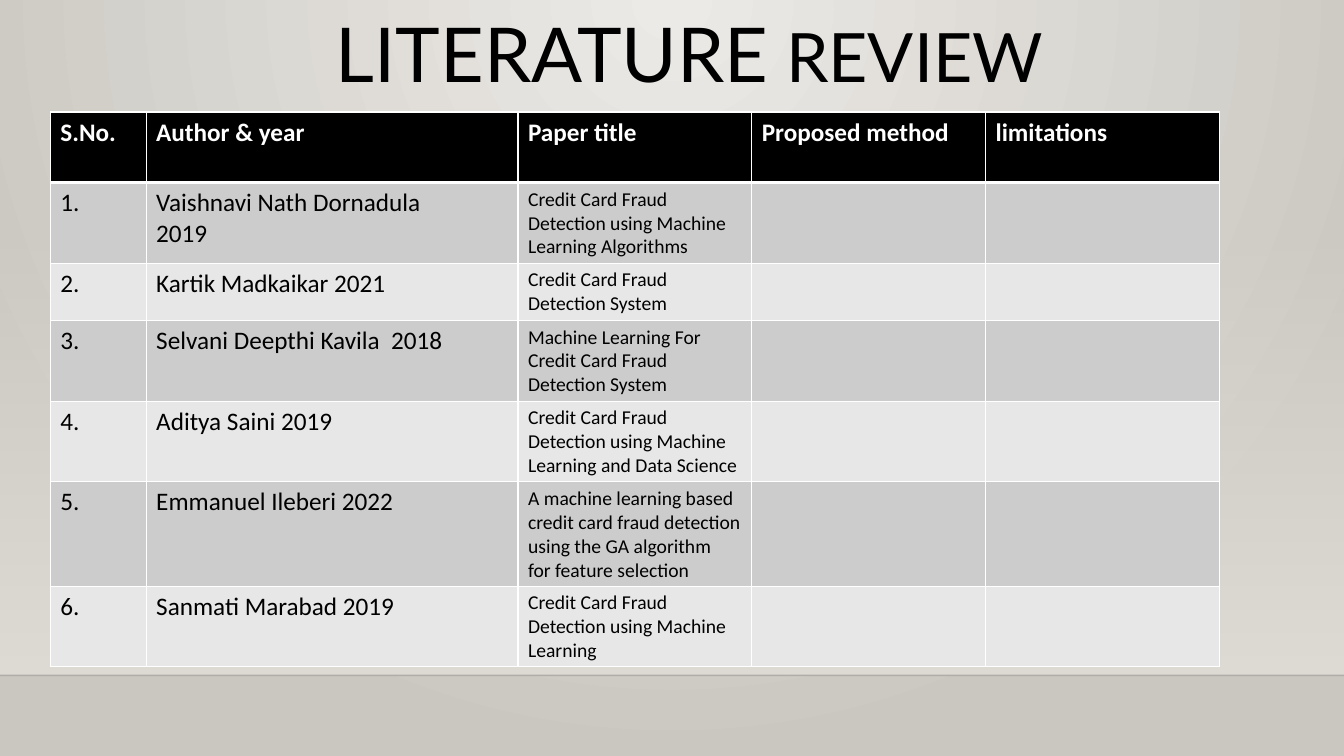
import pptx
import pptx.dml.color
import pptx.enum.shapes
import pptx.enum.text
import pptx.oxml.ns
import pptx.oxml.xmlchemy
import pptx.util
import lxml.etree

Pt = pptx.util.Pt
qn = pptx.oxml.ns.qn

HEADINGS = ["S.No.", "Author & year", "Paper title", "Proposed method", "limitations"]
PAPERS = [
    ("Vaishnavi Nath Dornadula\v2019",
     "Credit Card Fraud Detection using Machine Learning Algorithms"),
    ("Kartik Madkaikar 2021", "Credit Card Fraud Detection System"),
    ("Selvani Deepthi Kavila  2018",
     "Machine Learning For Credit Card Fraud Detection System"),
    ("Aditya Saini 2019",
     "Credit Card Fraud Detection using Machine Learning and Data Science"),
    ("Emmanuel Ileberi 2022",
     "A machine learning based credit card fraud detection using the\u00a0GA algorithm "
     "for\u00a0feature selection"),
    ("Sanmati Marabad 2019", "Credit Card Fraud Detection using Machine Learning"),
]
COLUMN_WIDTHS = [68.4, 265.6, 167, 167, 167]
ROW_HEIGHTS = [50.4, 57.6, 40.4, 57.6, 57.6, 74.4, 57.6]
PAGE_WIDTH, PAGE_HEIGHT = 960, 540
FLOOR_TOP = 482.4


def color(hex_code):
    return pptx.dml.color.RGBColor.from_string(hex_code)


def add_child(parent, tag, **attributes):
    return lxml.etree.SubElement(parent, qn(tag), attributes)


def set_alpha(color_element, percent):
    add_child(color_element, "a:alpha", val=str(percent * 1000))


def style_span(span, font, size, hex_code, bold=False):
    span.font.name = font
    span.font.size = Pt(size)
    span.font.bold = bold
    span.font.color.rgb = color(hex_code)


def set_gradient(fill, first, last):
    fill.gradient()
    for stop, hex_code in zip(fill.gradient_stops, (first, last)):
        stop.color.rgb = color(hex_code)


def paint_background(page):
    set_gradient(page.background.fill, "ECEAE7", "CAC7C1")
    linear = next(page._element.iter(qn("a:lin")))
    gradient = linear.getparent()
    gradient.remove(linear)
    circle = add_child(gradient, "a:path", path="circle")
    add_child(circle, "a:fillToRect", l="43000", t="0", r="43000", b="100000")


def add_wall(page, top, height):
    wall = page.shapes.add_shape(
        pptx.enum.shapes.MSO_SHAPE.RECTANGLE, 0, Pt(top), Pt(PAGE_WIDTH), Pt(height))
    wall.shadow.inherit = False
    wall.line.fill.background()
    set_gradient(wall.fill, "DFDBD5", "DFDBD5")
    wall.fill.gradient_angle = 270
    set_alpha(next(wall._element.spPr.iter(qn("a:srgbClr"))), 0)


def add_floor_line(page, top):
    line = page.shapes.add_connector(
        pptx.enum.shapes.MSO_CONNECTOR.STRAIGHT, 0, Pt(top), Pt(PAGE_WIDTH), Pt(top))
    line.line.color.rgb = color("000001")
    line.line.width = Pt(1)
    properties = line._element.spPr
    set_alpha(next(properties.iter(qn("a:srgbClr"))), 20)
    add_child(properties, "a:effectLst")


def add_title(page, left, top, width, height, parts):
    box = page.shapes.add_textbox(Pt(left), Pt(top), Pt(width), Pt(height))
    frame = box.text_frame
    frame.word_wrap = True
    frame.vertical_anchor = pptx.enum.text.MSO_ANCHOR.TOP
    para = frame.paragraphs[0]
    para.alignment = pptx.enum.text.PP_ALIGN.CENTER
    para.line_spacing = 0.9
    for words, size in parts:
        span = para.add_run()
        span.text = words
        style_span(span, "Lato", size, "000000")


def set_borders(cell, top, bottom):
    properties = cell._tc.get_or_add_tcPr()
    for side, width in (("L", 1), ("R", 1), ("T", top), ("B", bottom)):
        border = add_child(properties, "a:ln" + side, w=str(Pt(width)))
        add_child(add_child(border, "a:solidFill"), "a:srgbClr", val="FFFFFF")


def fill_cell(cell, words, row, column):
    header = row == 0
    set_borders(cell, top=3 if row == 1 else 1, bottom=3 if header else 1)
    cell.fill.solid()
    cell.fill.fore_color.rgb = color("000000" if header else ("E7E7E7", "CCCCCC")[row % 2])
    cell.text = words
    size = 14 if column == 2 and not header else 18
    for span in cell.text_frame.paragraphs[0].runs:
        style_span(span, "Calibri", size, "FFFFFF" if header else "000000", header)


def add_review_table(page, left, top):
    rows = [HEADINGS] + [
        [f"{number}.", author, paper, "", ""]
        for number, (author, paper) in enumerate(PAPERS, 1)]
    table = page.shapes.add_table(
        len(rows), len(HEADINGS), Pt(left), Pt(top),
        Pt(sum(COLUMN_WIDTHS)), Pt(sum(ROW_HEIGHTS))).table
    for column, width in zip(table.columns, COLUMN_WIDTHS):
        column.width = Pt(width)
    for row, height in zip(table.rows, ROW_HEIGHTS):
        row.height = Pt(height)
    for row, texts in enumerate(rows):
        for column, words in enumerate(texts):
            fill_cell(table.cell(row, column), words, row, column)


def main():
    deck = pptx.Presentation()
    deck.slide_width, deck.slide_height = Pt(PAGE_WIDTH), Pt(PAGE_HEIGHT)
    page = deck.slides.add_slide(deck.slide_layouts[6])
    paint_background(page)
    add_wall(page, 159.1, FLOOR_TOP - 159.1)
    add_floor_line(page, FLOOR_TOP)
    add_title(page, 114.5, 8.6, 756, 71.3, [("LITERATURE", 54), (" REVIEW", 48.6)])
    add_review_table(page, 36, 80)
    deck.save("out.pptx")


main()
